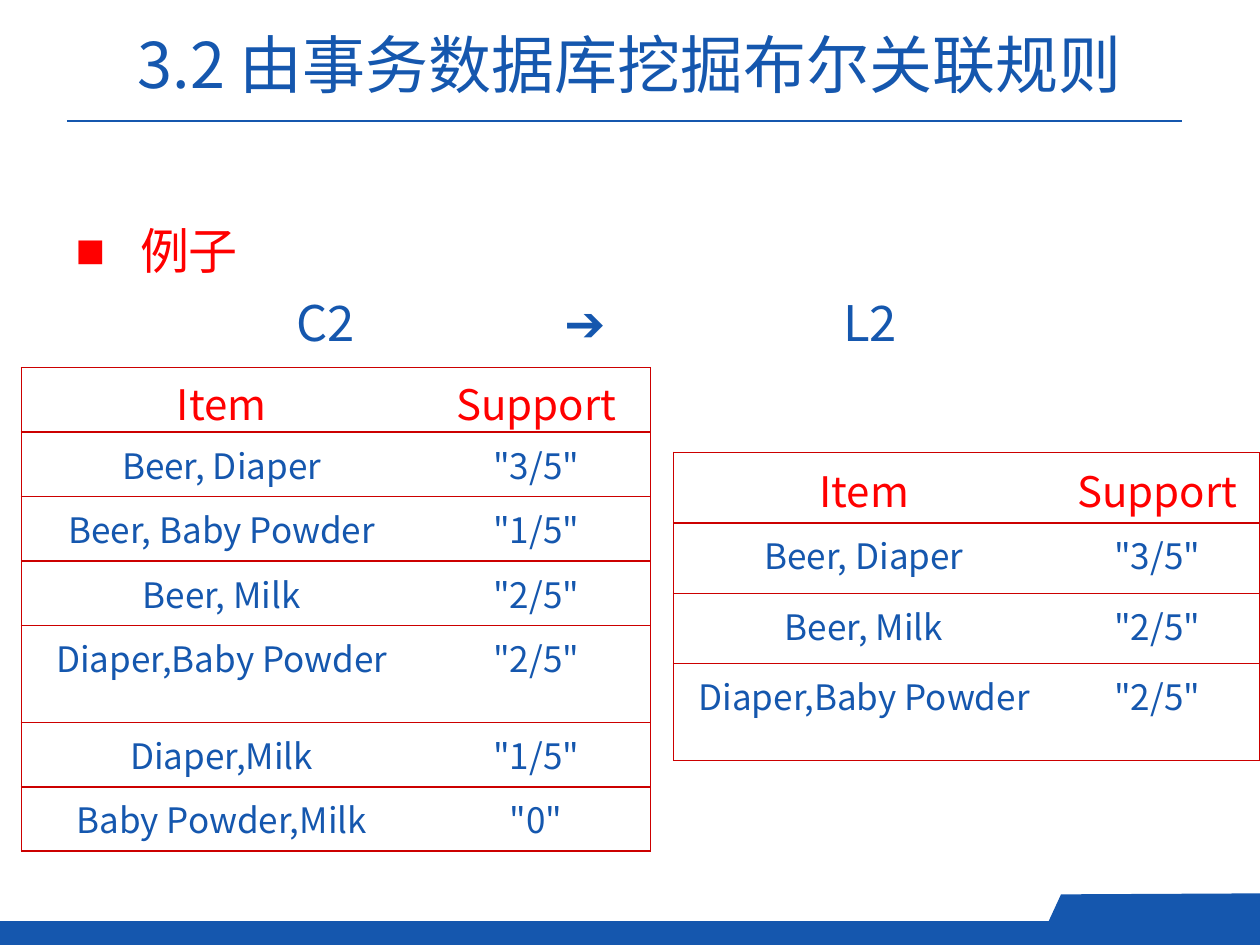
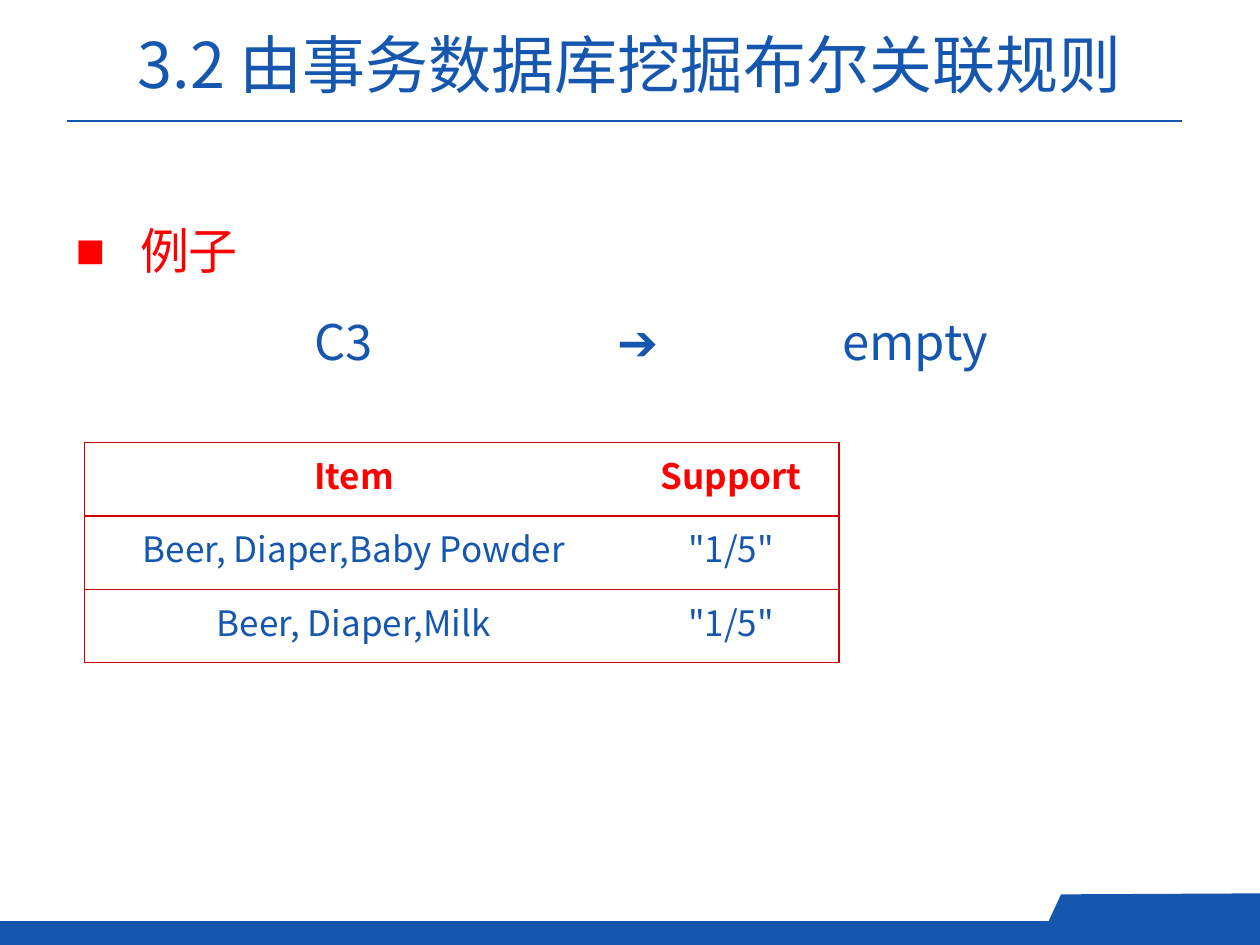
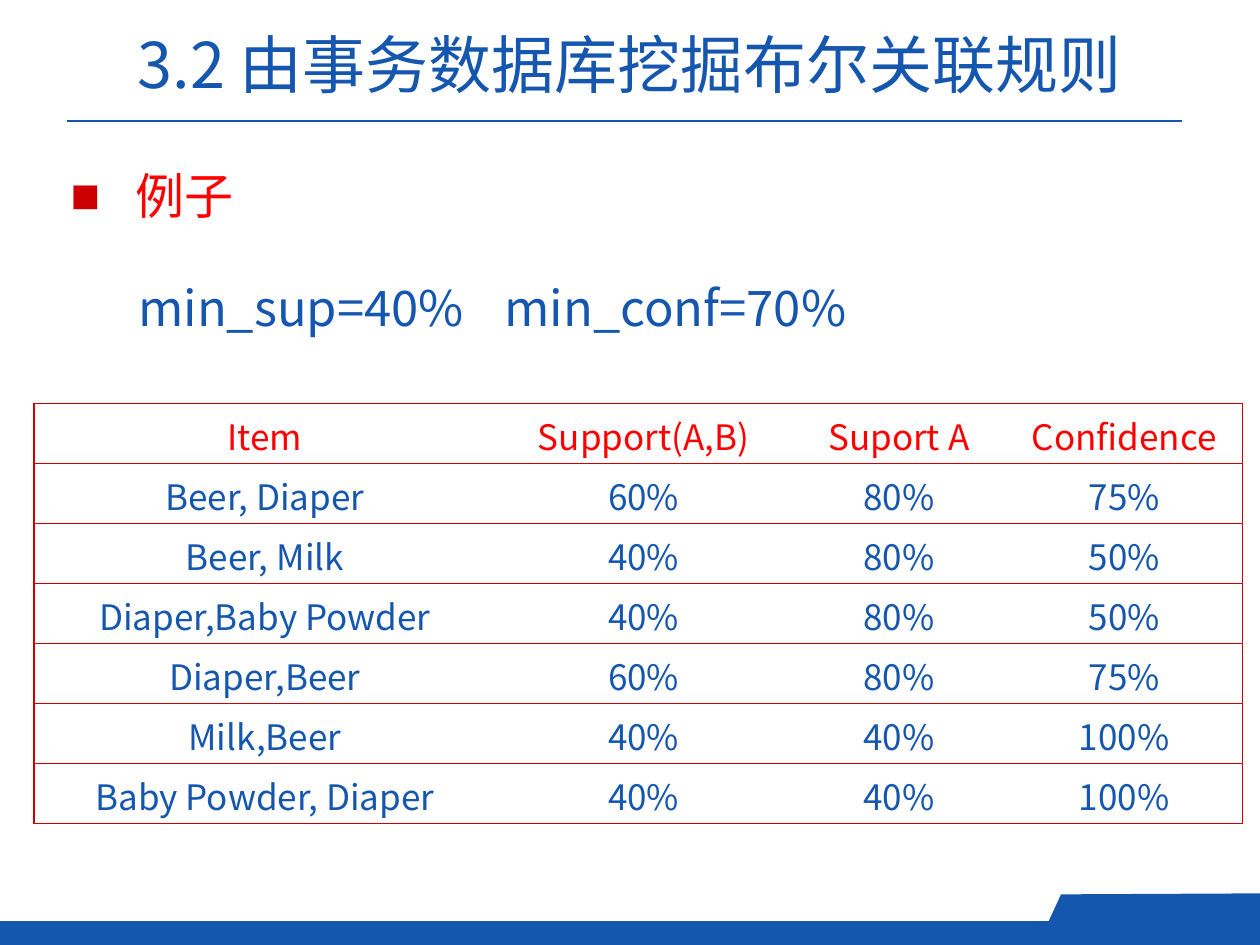
from dataclasses import dataclass

from lxml import etree
from pptx import Presentation
from pptx.dml.color import RGBColor
from pptx.enum import shapes as kinds, text as txt
from pptx.oxml import ns
from pptx.util import Cm, Pt

FONT = "Noto Sans CJK SC"
HUES = {"blue": "1557AE", "red": "FF0000", "dark": "CC0000", "white": "FFFFFF"}
TITLE = "3.2 由事务数据库挖掘布尔关联规则"
LEAD = "例子"
PAIR = ("Item", "Support")


@dataclass
class Line:
    """A line of text whose parts start at tab stops, all in cm."""
    box: tuple[float, float, float, float]
    text: str
    stops: tuple[float, ...]


@dataclass
class Grid:
    """A table: place, column widths and row heights in cm."""
    left: float
    top: float
    cols: tuple[float, ...]
    rows: tuple[float, ...]
    cells: list[tuple[str, ...]]
    head: int = 20
    bold: bool = False
    pitch: float = 1.0


@dataclass
class Page:
    lead: tuple[float, float]
    mark: str
    line: Line
    grids: list[Grid]


PAGES = [
    Page((1.27, 4.45), "red",
         Line((5.31, 5.77, 18.8, 11.63), "\tC2\t➔\tL2", (0.42, 5.82, 11.44)),
         [Grid(0.43, 7.41, (8.08, 4.6), (1.3,) * 4 + (1.95,) + (1.3,) * 2,
               [PAIR,
                ("Beer, Diaper", '"3/5"'),
                ("Beer, Baby Powder", '"1/5"'),
                ("Beer, Milk", '"2/5"'),
                ("Diaper,Baby Powder", '"2/5"'),
                ("Diaper,Milk", '"1/5"'),
                ("Baby Powder,Milk", '"0"')], head=24, pitch=0.95),
          Grid(13.58, 9.12, (7.68, 4.14), (1.42,) * 3 + (1.95,),
               [PAIR,
                ("Beer, Diaper", '"3/5"'),
                ("Beer, Milk", '"2/5"'),
                ("Diaper,Baby Powder", '"2/5"')], head=24)]),
    Page((1.27, 4.45), "red",
         Line((5.89, 6.15, 18.6, 11.63), "\tC3\t➔\tempty", (0.2, 6.3, 10.84)),
         [Grid(1.7, 8.92, (10.87, 4.34), (1.48,) * 3,
               [PAIR,
                ("Beer, Diaper,Baby Powder", '"1/5"'),
                ("Beer, Diaper,Milk", '"1/5"')], bold=True)]),
    Page((1.17, 3.35), "dark",
         Line((2.54, 5.46, 22.53, 10.82), "min_sup=40%\tmin_conf=70%", (7.38,)),
         [Grid(0.69, 8.13, (9.3, 5.97, 4.32, 4.77), (1.21,) * 7,
               [("Item", "Support(A,B)", "Suport A", "Confidence"),
                ("Beer, Diaper", "60%", "80%", "75%"),
                ("Beer, Milk", "40%", "80%", "50%"),
                ("Diaper,Baby Powder", "40%", "80%", "50%"),
                ("Diaper,Beer", "60%", "80%", "75%"),
                ("Milk,Beer", "40%", "40%", "100%"),
                ("Baby Powder, Diaper", "40%", "40%", "100%")])]),
]


def rgb(hue: str) -> RGBColor:
    return RGBColor.from_string(HUES[hue])


def sub(node, tag: str, **attrs: str):
    return etree.SubElement(node, ns.qn(tag), attrs)


def tint(node, hue: str) -> None:
    sub(node, "a:srgbClr", val=HUES[hue])


def place(shape, *box: float) -> None:
    shape.left, shape.top, shape.width, shape.height = map(Cm, box)


def write(para, words: str, size: int, hue: str, bold: bool = False) -> None:
    run = para.add_run()
    run.text = words
    font = run.font
    font.size, font.bold, font.name = Pt(size), bold, FONT
    font.color.rgb = rgb(hue)
    sub(run.font._element, "a:ea", typeface=FONT)


def dress(slide, layout) -> None:
    """Build the title rule and footer band, then move them to the layout."""
    rule = slide.shapes.add_connector(
        kinds.MSO_CONNECTOR.STRAIGHT, Cm(1.35), Cm(2.44), Cm(23.83), Cm(2.44))
    rule.line.color.rgb = rgb("blue")
    rule.line.width = Pt(1.5)
    sub(rule.element.spPr, "a:effectLst")

    band = slide.shapes.add_shape(
        kinds.MSO_SHAPE.FLOWCHART_PROCESS, 0, Cm(18.57), Cm(25.4), Cm(0.48))
    pen = slide.shapes.build_freeform(Cm(25.4), Cm(18.92))
    pen.add_line_segments([(Cm(x), Cm(y)) for x, y in
                           ((25.4, 18.01), (21.39, 18.03), (20.98, 18.92))])
    flap = pen.convert_to_shape()
    for shape in (band, flap):
        shape.shadow.inherit = False
        shape.fill.solid()
        shape.fill.fore_color.rgb = rgb("blue")
        shape.line.fill.background()

    for num, shape in enumerate((rule, band, flap), 101):
        shape.element.xpath("./*/p:cNvPr")[0].set("id", str(num))
        layout.shapes.element.append(shape.element)


def add_head(slide) -> None:
    title = slide.shapes.title
    place(title, 0.69, -0.33, 24, 2.49)
    frame = title.text_frame
    frame.auto_size = txt.MSO_AUTO_SIZE.NONE
    frame.vertical_anchor = txt.MSO_ANCHOR.BOTTOM
    para = frame.paragraphs[0]
    para.alignment = txt.PP_ALIGN.CENTER
    write(para, TITLE, 36, "blue")


def add_lead(slide, spot: tuple[float, float], mark: str) -> None:
    body = slide.placeholders[1]
    place(body, *spot, 12.62, 2.08)
    frame = body.text_frame
    frame.auto_size = txt.MSO_AUTO_SIZE.NONE
    para = frame.paragraphs[0]
    props = para._p.get_or_add_pPr()
    props.set("marL", str(Cm(1.3)))
    props.set("indent", str(-Cm(1.3)))
    tint(sub(props, "a:buClr"), mark)
    sub(props, "a:buChar", char="■")
    para.line_spacing = 0.9
    para.space_before = Pt(0)
    write(para, LEAD, 28, "red")


def add_line(slide, line: Line) -> None:
    frame = slide.shapes.add_textbox(*map(Cm, line.box)).text_frame
    frame.word_wrap = True
    para = frame.paragraphs[0]
    tabs = sub(para._p.get_or_add_pPr(), "a:tabLst")
    for stop in line.stops:
        sub(tabs, "a:tab", pos=str(Cm(stop)), algn="l")
    write(para, line.text, 28, "blue")


def edge(cell, sides: str) -> None:
    """Rule the named sides of a cell and clear the others."""
    props = cell._tc.get_or_add_tcPr()
    for spot, side in enumerate("LRTB"):
        rule = etree.Element(ns.qn(f"a:ln{side}"), w=str(Pt(1)))
        if side in sides:
            tint(sub(rule, "a:solidFill"), "dark")
        else:
            sub(rule, "a:noFill")
        props.insert(spot, rule)


def add_grid(slide, grid: Grid) -> None:
    table = slide.shapes.add_table(
        len(grid.rows), len(grid.cols), Cm(grid.left), Cm(grid.top),
        Cm(sum(grid.cols)), Cm(sum(grid.rows))).table
    table.first_row = table.horz_banding = False
    for col, width in zip(table.columns, grid.cols):
        col.width = Cm(width)
    for row, height in zip(table.rows, grid.rows):
        row.height = Cm(height)
    last = len(grid.cols) - 1
    for r, row in enumerate(grid.cells):
        for c, words in enumerate(row):
            cell = table.cell(r, c)
            cell.margin_bottom = 0
            cell.fill.solid()
            cell.fill.fore_color.rgb = rgb("white")
            edge(cell, "TB" + "L" * (c == 0) + "R" * (c == last))
            para = cell.text_frame.paragraphs[0]
            para.alignment = txt.PP_ALIGN.CENTER
            if r == 0:
                para.line_spacing = grid.pitch
                write(para, words, grid.head, "red", grid.bold)
            else:
                write(para, words, 20, "blue")


def main() -> None:
    deck = Presentation()
    deck.slide_width, deck.slide_height = Cm(25.4), Cm(19.05)
    layout = deck.slide_layouts[1]
    for num, page in enumerate(PAGES):
        slide = deck.slides.add_slide(layout)
        if num == 0:
            dress(slide, layout)
        add_head(slide)
        add_lead(slide, page.lead, page.mark)
        add_line(slide, page.line)
        for grid in page.grids:
            add_grid(slide, grid)
    deck.save("out.pptx")


if __name__ == "__main__":
    main()
